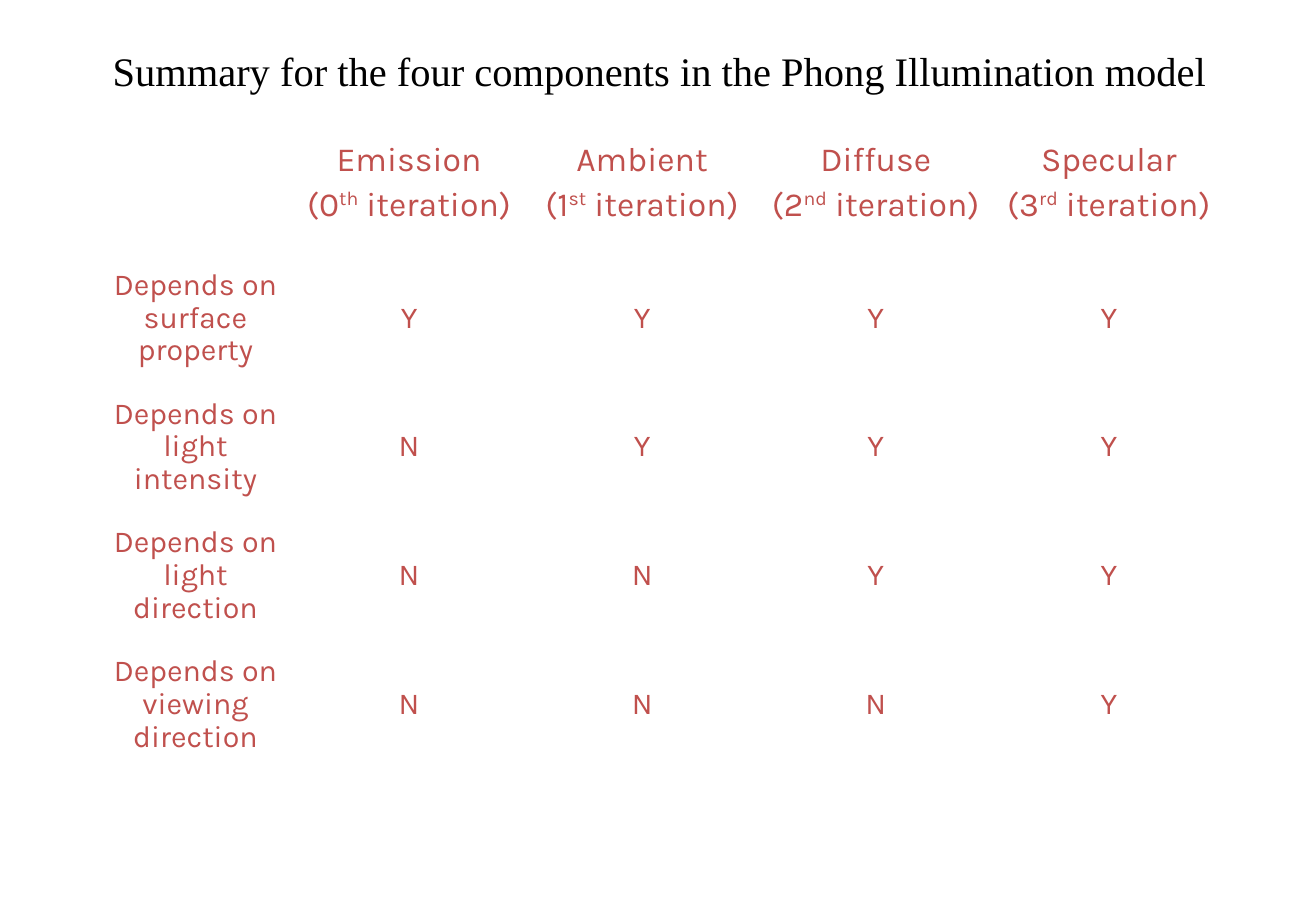
"""Builds a slide with a summary table of the Phong illumination components."""
from pptx import Presentation
from pptx.dml.color import RGBColor
from pptx.enum.text import MSO_ANCHOR, MSO_AUTO_SIZE, PP_ALIGN
from pptx.util import Inches, Pt

COLORS = {"title": "000000", "table": "C0504D"}
FONTS = {"title": "Times New Roman", "table": "Karla"}
TITLE = "Summary for the four components in the Phong Illumination model"
COMPONENTS = [
    ("Emission", "0", "th"),
    ("Ambient", "1", "st"),
    ("Diffuse", "2", "nd"),
    ("Specular", "3", "rd"),
]
DEPENDENCIES = [
    ("Depends on surface property", "YYYY"),
    ("Depends on light intensity", "NYYY"),
    ("Depends on light direction", "NNYY"),
    ("Depends on viewing direction", "NNNY"),
]
COL_WIDTHS = [1.6, 1.92, 1.92, 1.93, 1.91]
ROW_HEIGHTS = [1.17] + [1.06] * len(DEPENDENCIES)


class SlideBuilder:
    def __init__(self, prs):
        self.slide = prs.slides.add_slide(prs.slide_layouts[6])

    def run(self, p, text, style, size, baseline=None):
        r = p.add_run()
        r.text = text
        r.font.name = FONTS[style]
        r.font.size = Pt(size)
        r.font.bold = False
        r.font.color.rgb = RGBColor.from_string(COLORS[style])
        if baseline:
            r.font._element.set("baseline", str(baseline * 1000))

    def title(self, text, left, top, width, height):
        sp = self.slide.shapes.add_textbox(
            Inches(left), Inches(top), Inches(width), Inches(height))
        tf = sp.text_frame
        tf.word_wrap = False
        tf.auto_size = MSO_AUTO_SIZE.SHAPE_TO_FIT_TEXT
        self.run(tf.paragraphs[0], text, "title", 24)

    def table(self, left, top, widths, heights):
        frame = self.slide.shapes.add_table(
            len(heights), len(widths), Inches(left), Inches(top),
            Inches(sum(widths)), Inches(sum(heights)))
        table = frame.table
        table.first_row = False
        table.horz_banding = False
        for col, width in zip(table.columns, widths):
            col.width = Inches(width)
        for row, height in zip(table.rows, heights):
            row.height = Inches(height)
        for cell in table.iter_cells():
            cell.fill.background()
            cell.vertical_anchor = MSO_ANCHOR.MIDDLE
        return table

    def cell(self, cell, lines, size):
        tf = cell.text_frame
        for i, line in enumerate(lines):
            p = tf.add_paragraph() if i else tf.paragraphs[0]
            p.alignment = PP_ALIGN.CENTER
            p.line_spacing = 0.92
            p.space_before = Pt(size / 4 if i else 0)
            for text, baseline in line:
                self.run(p, text, "table", size, baseline)


def main():
    prs = Presentation()
    prs.slide_width, prs.slide_height = Inches(10.84), Inches(7.5)
    s = SlideBuilder(prs)
    table = s.table(0.81, 0.92, COL_WIDTHS, ROW_HEIGHTS)
    for col, (name, number, suffix) in enumerate(COMPONENTS, 1):
        iteration = [("(" + number, None), (suffix, 30), (" iteration)", None)]
        s.cell(table.cell(0, col), [[(name, None)], iteration], 20)
    for row, (label, answers) in enumerate(DEPENDENCIES, 1):
        for col, text in enumerate([label, *answers]):
            s.cell(table.cell(row, col), [[(text, None)]], 18)
    s.title(TITLE, 0.83, 0.33, 9.21, 0.5)
    prs.save("out.pptx")


if __name__ == "__main__":
    main()
